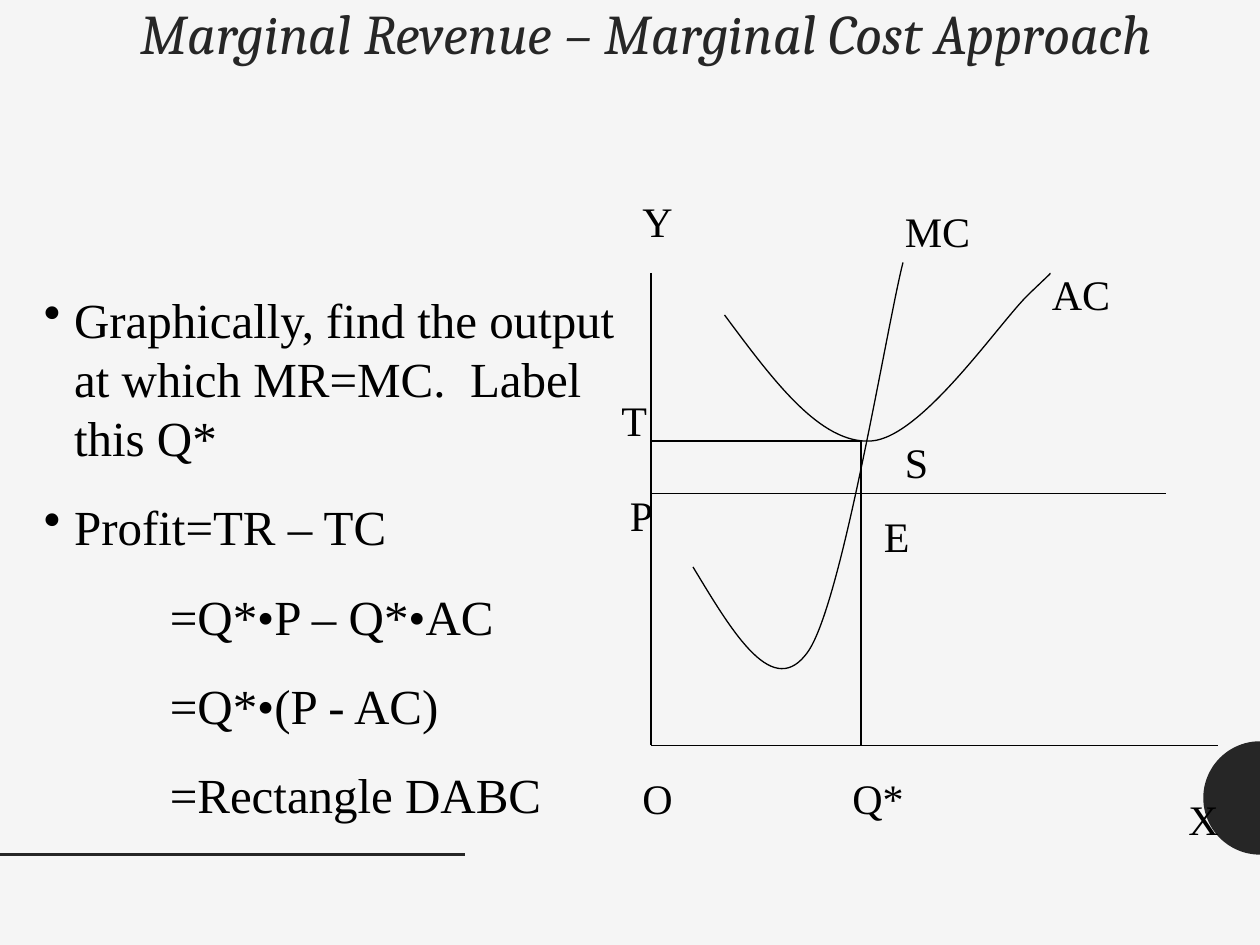
from dataclasses import dataclass
from math import cos, pi, sin

from lxml.etree import SubElement
from pptx import Presentation
from pptx.dml.color import RGBColor
from pptx.enum.shapes import MSO_CONNECTOR as Connector
from pptx.enum.text import MSO_ANCHOR as Anchor, MSO_AUTO_SIZE as AutoSize, PP_ALIGN as Align
from pptx.oxml.ns import qn
from pptx.util import Inches, Pt

UNIT = Inches(1) // 12  # grid of 120 columns by 90 rows
COLS, ROWS = 120, 90


@dataclass(frozen=True)
class Theme:
    paper: RGBColor = RGBColor(0xF5, 0xF5, 0xF5)
    dark: RGBColor = RGBColor(0x26, 0x26, 0x26)
    ink: RGBColor = RGBColor(0, 0, 0)
    title_font: str = "Cambria"
    body_font: str = "Times New Roman"
    title_size: int = 32
    body_size: int = 28
    label_size: int = 24
    thin: float = 0.75
    thick: float = 2
    leading: float = 1.2  # line height as a share of the type size
    gap: float = 0.625  # space before a paragraph, same measure


THEME = Theme()

# Diagram positions, in columns and rows
AXIS_X, AXIS_Y = 62, 71
QUANTITY_X = 82
COST_Y, PRICE_Y = 42, 47

AC_CURVE = [(69, 30), (73.56, 36.12), (78.12, 42.36), (83, 42),
            (87.84, 41.64), (95.16, 30.72), (98, 28),
            (100.8, 25.32), (99.84, 26.28), (100, 26)]
MC_CURVE = [(66, 54), (69.84, 60.36), (73.68, 66.84), (77, 62),
            (80.28, 57.12), (84.48, 30.96), (86, 25)]

# Text, left column, top row, width in columns
LABELS = [("AC", 99, 25, 11), ("MC", 85, 19, 11), ("E", 83, 48, 6),
          ("T", 58, 37, 3), ("S", 85, 41, 8), ("P", 58.8, 46, 2.4),
          ("O", 60, 73, 5), ("X", 112, 75, 4), ("Y", 60, 18, 8),
          ("Q*", 80, 73, 8)]

# Text, whether it has a bullet
POINTS = [("Graphically, find the output at which MR=MC.  Label this Q*", True),
          ("Profit=TR – TC", True),
          ("=Q*•P – Q*•AC", False),
          ("=Q*•(P - AC)", False),
          ("=Rectangle DABC", False)]


def grid(*values):
    return [round(value * UNIT) for value in values]


def add_line(slide, start, end, color=THEME.ink, width=THEME.thin):
    line = slide.shapes.add_connector(Connector.STRAIGHT, *grid(*start, *end))
    line.line.color.rgb = color
    line.line.width = Pt(width)
    SubElement(line._element.spPr, qn("a:effectLst"))


def add_outline(slide, points, close=False):
    start, *rest = [grid(*point) for point in points]
    builder = slide.shapes.build_freeform(*start)
    builder.add_line_segments(rest, close=close)
    outline = builder.convert_to_shape()
    outline.shadow.inherit = False
    return outline


def add_curve(slide, points):
    """Draw a chain of Bézier arcs: a start, then three points for each arc."""
    curve = add_outline(slide, points)
    curve.fill.background()
    curve.line.color.rgb = THEME.ink
    curve.line.width = Pt(THEME.thin)
    path = next(curve._element.iter(qn("a:path")))
    segments = path.findall(qn("a:lnTo"))
    for first in range(0, len(segments), 3):
        arc = SubElement(path, qn("a:cubicBezTo"))
        for segment in segments[first:first + 3]:
            arc.append(segment[0])
            path.remove(segment)


def add_half_disc(slide, center_y, radius, steps=48):
    angles = [pi / 2 + pi * step / steps for step in range(steps + 1)]
    disc = add_outline(slide, [(COLS + radius * cos(a), center_y + radius * sin(a))
                               for a in angles], close=True)
    disc.fill.solid()
    disc.fill.fore_color.rgb = THEME.dark
    disc.line.fill.background()


def add_frame(slide, left, top, width, height, fit=AutoSize.SHAPE_TO_FIT_TEXT):
    frame = slide.shapes.add_textbox(*grid(left, top, width, height)).text_frame
    frame.word_wrap = True
    frame.auto_size = fit
    frame.vertical_anchor = Anchor.TOP
    return frame


def style(paragraph, size, font=THEME.body_font, color=THEME.ink, italic=False):
    for run in paragraph.runs:
        run.font.name = font
        run.font.size = Pt(size)
        run.font.color.rgb = color
        run.font.italic = italic


def set_spacing(paragraph, size):
    paragraph.line_spacing = Pt(size * THEME.leading)
    paragraph.space_before = Pt(size * THEME.gap)


def set_indent(paragraph, bullet):
    properties = paragraph._p.get_or_add_pPr()
    margin = Inches(0.24) if bullet else Inches(1)
    properties.set("marL", str(margin))
    properties.set("indent", str(-margin if bullet else 0))
    if bullet:
        SubElement(properties, qn("a:buChar")).set("char", "•")
    else:
        SubElement(properties, qn("a:buNone"))


def add_title(slide, text):
    frame = add_frame(slide, 9, 0, 102, 15, AutoSize.NONE)
    frame.text = text
    heading = frame.paragraphs[0]
    heading.alignment = Align.RIGHT
    heading.line_spacing = 0.9
    style(heading, THEME.title_size, THEME.title_font, THEME.dark, italic=True)


def add_points(slide):
    frame = add_frame(slide, 3, 27, 60, 52)
    frame.text = "\n".join(text for text, _ in POINTS)
    for point, (_, bullet) in zip(frame.paragraphs, POINTS):
        set_spacing(point, THEME.body_size)
        set_indent(point, bullet)
        style(point, THEME.body_size)


def add_label(slide, text, left, top, width):
    frame = add_frame(slide, left, top, width, 6)
    frame.text = text
    set_spacing(frame.paragraphs[0], THEME.label_size)
    style(frame.paragraphs[0], THEME.label_size)


def add_diagram(slide):
    # Axes and price line
    add_line(slide, (AXIS_X, 26), (AXIS_X, AXIS_Y))
    add_line(slide, (AXIS_X, AXIS_Y), (116, AXIS_Y))
    add_line(slide, (AXIS_X, PRICE_Y), (111, PRICE_Y))
    # Cost curves
    add_curve(slide, AC_CURVE)
    add_curve(slide, MC_CURVE)
    # Guides to the chosen quantity and its average cost
    add_line(slide, (QUANTITY_X, COST_Y), (QUANTITY_X, AXIS_Y))
    add_line(slide, (QUANTITY_X, COST_Y), (AXIS_X, COST_Y))
    for label in LABELS:
        add_label(slide, *label)


def main():
    deck = Presentation()
    deck.slide_width, deck.slide_height = grid(COLS, ROWS)
    slide = deck.slides.add_slide(deck.slide_layouts[6])
    slide.background.fill.solid()
    slide.background.fill.fore_color.rgb = THEME.paper

    # Decoration
    add_half_disc(slide, center_y=76, radius=5.4)
    add_line(slide, (0, 81.36), (44.28, 81.36), THEME.dark, THEME.thick)

    # Content
    add_title(slide, "Marginal Revenue – Marginal Cost Approach")
    add_points(slide)
    add_diagram(slide)
    deck.save("out.pptx")


if __name__ == "__main__":
    main()
